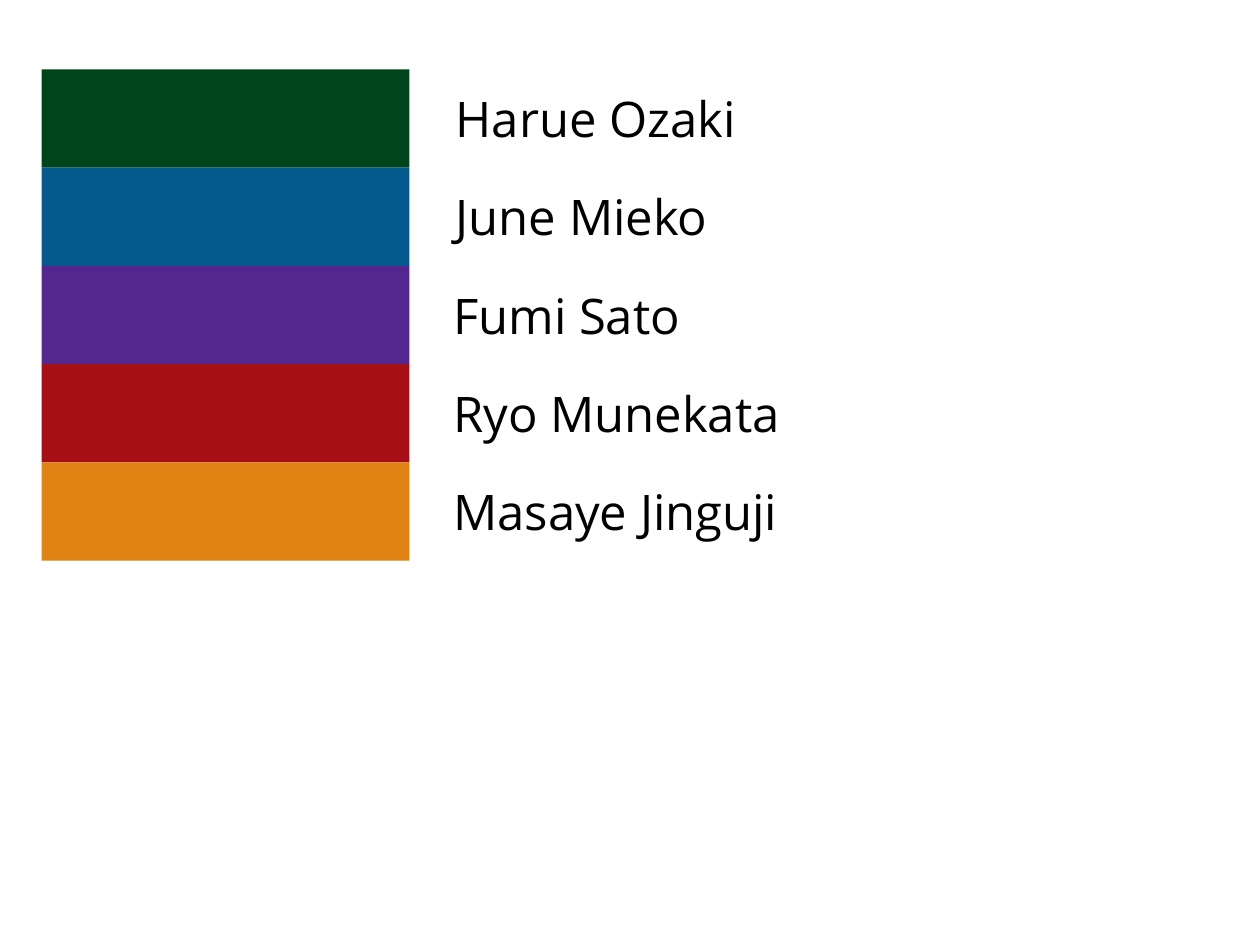
"""Build a colour key that pairs five colour bands with names."""
import pptx
import pptx.util
import pptx.dml.color
import pptx.enum.shapes
import pptx.enum.text

Inches = pptx.util.Inches
RGB = pptx.dml.color.RGBColor.from_string

COLORS = {
    "green": "00441B",
    "blue": "045A8D",
    "purple": "54278F",
    "red": "A50F15",
    "orange": "E08214",
    "text": "000000",
}
KEY = [
    ("green", "Harue Ozaki", 3.52),
    ("blue", "June Mieko", 3.52),
    ("purple", "Fumi Sato", 3.5),
    ("red", "Ryo Munekata", 3.5),
    ("orange", "Masaye Jinguji", 3.5),
]
FONT = {"name": "Open Sans", "size": pptx.util.Pt(28)}
LEFT, TOP, BAND_W, BAND_H, PITCH = 0.33, 0.55, 2.92, 0.78, 0.78
NAME_W, NAME_H = 3.83, 0.57

prs = pptx.Presentation()
prs.slide_width, prs.slide_height = Inches(10), Inches(7.5)
s = prs.slides.add_slide(prs.slide_layouts[6])
bands = s.shapes.add_group_shape()

for i, (color, name, name_left) in enumerate(KEY):
    top = TOP + i * PITCH
    sp = bands.shapes.add_shape(
        pptx.enum.shapes.MSO_SHAPE.RECTANGLE,
        Inches(LEFT), Inches(top), Inches(BAND_W), Inches(BAND_H))
    sp.shadow.inherit = False
    sp.fill.solid()
    sp.fill.fore_color.rgb = RGB(COLORS[color])
    sp.line.fill.background()

    name_top = top + (BAND_H - NAME_H) / 2
    tf = s.shapes.add_textbox(
        Inches(name_left), Inches(name_top), Inches(NAME_W), Inches(NAME_H)).text_frame
    tf.word_wrap = True
    tf.auto_size = pptx.enum.text.MSO_AUTO_SIZE.SHAPE_TO_FIT_TEXT
    r = tf.paragraphs[0].add_run()
    r.text = name
    for key, value in FONT.items():
        setattr(r.font, key, value)
    r.font.color.rgb = RGB(COLORS["text"])

prs.save("out.pptx")
